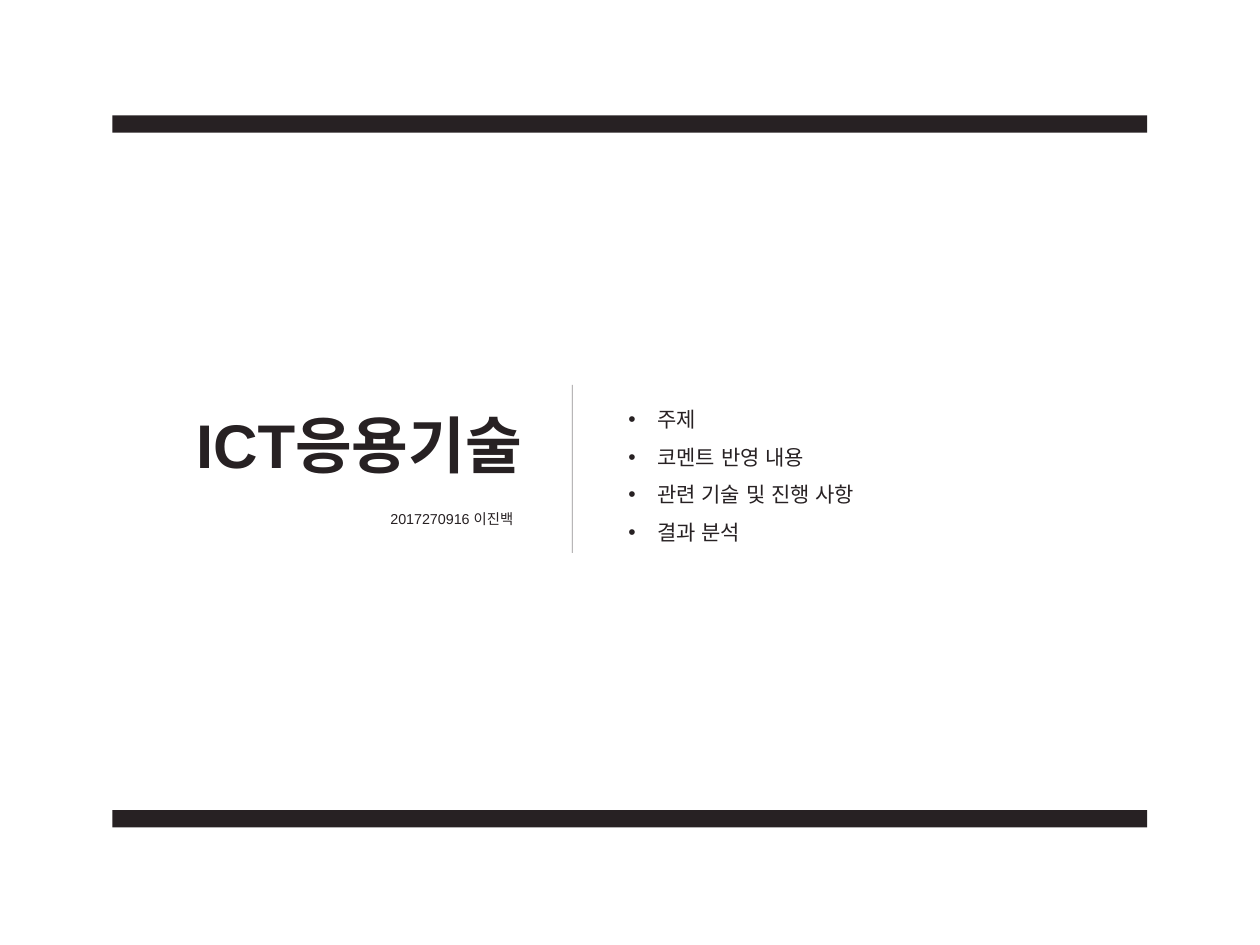
import dataclasses

import lxml.etree
import pptx
import pptx.dml.color
import pptx.enum.shapes
import pptx.enum.text
import pptx.oxml.ns
import pptx.util

Pt = pptx.util.Pt
qn = pptx.oxml.ns.qn


@dataclasses.dataclass(frozen=True)
class Theme:
    ink: str = "272123"
    paper: str = "FFFFFF"
    font: str = "Arial"
    title: float = 35.2
    name: float = 8.2
    item: float = 12


THEME = Theme()


def color(code):
    return pptx.dml.color.RGBColor.from_string(code)


def apply(target, values):
    for key, value in values.items():
        setattr(target, key, value)


def paint(fill, code):
    fill.solid()
    fill.fore_color.rgb = color(code)


def write(para, text, size, bold=False):
    run = para.add_run()
    run.text = text
    apply(run.font, {"name": THEME.font, "size": Pt(size), "bold": bold})
    run.font.color.rgb = color(THEME.ink)
    east = lxml.etree.SubElement(run.font._element, qn("a:ea"))
    east.set("typeface", THEME.font)


def add_label(slide, box, text, size, bold=False):
    frame = slide.shapes.add_textbox(*map(Pt, box)).text_frame
    frame.word_wrap = True
    write(frame.paragraphs[0], text, size, bold)


def add_rect(slide, box):
    kind = pptx.enum.shapes.MSO_SHAPE.RECTANGLE
    rect = slide.shapes.add_shape(kind, *map(Pt, box))
    rect.shadow.inherit = False
    return rect


def add_bar(slide, box):
    bar = add_rect(slide, box)
    paint(bar.fill, THEME.ink)
    bar.line.fill.background()


def add_rule(slide, ends):
    kind = pptx.enum.shapes.MSO_CONNECTOR.STRAIGHT
    rule = slide.shapes.add_connector(kind, *map(Pt, ends))
    paint(rule.line.fill, THEME.ink)
    rule.line.width = Pt(0.5)
    props = rule._element.spPr
    tint = props.find(".//" + qn("a:srgbClr"))
    lxml.etree.SubElement(tint, qn("a:alpha")).set("val", "50000")
    lxml.etree.SubElement(props, qn("a:effectLst"))


def add_list(slide, box, items):
    panel = add_rect(slide, box)
    panel.fill.background()
    paint(panel.line.fill, THEME.paper)
    panel.line.width = Pt(0.75)
    frame = panel.text_frame
    apply(frame, {
        "word_wrap": True,
        "vertical_anchor": pptx.enum.text.MSO_ANCHOR.MIDDLE,
    })
    for index, item in enumerate(items):
        para = frame.add_paragraph() if index else frame.paragraphs[0]
        apply(para, {
            "alignment": pptx.enum.text.PP_ALIGN.LEFT,
            "line_spacing": 1.5,
        })
        props = para._p.get_or_add_pPr()
        indent = Pt(16.5)
        props.set("marL", str(indent))
        props.set("indent", str(-indent))
        face = lxml.etree.SubElement(props, qn("a:buFont"))
        face.set("typeface", THEME.font)
        lxml.etree.SubElement(props, qn("a:buChar")).set("char", "•")
        write(para, item, THEME.item)


def main():
    deck = pptx.Presentation()
    apply(deck, {"slide_width": Pt(720), "slide_height": Pt(540)})
    slide = deck.slides.add_slide(deck.slide_layouts[6])
    paint(slide.background.fill, THEME.paper)

    add_label(slide, (105, 229, 222, 50), "ICT응용기술", THEME.title, True)
    add_label(slide, (216, 288, 196.5, 17.5), "2017270916 이진백", THEME.name)
    add_rule(slide, (327, 220, 327, 316))
    items = ["주제", "코멘트 반영 내용", "관련 기술 및 진행 사항", "결과 분석"]
    add_list(slide, (352, 221, 220, 94.5), items)
    for top in (463, 66):
        add_bar(slide, (64.2, top, 591.4, 9.8))

    deck.save("out.pptx")


if __name__ == "__main__":
    main()
